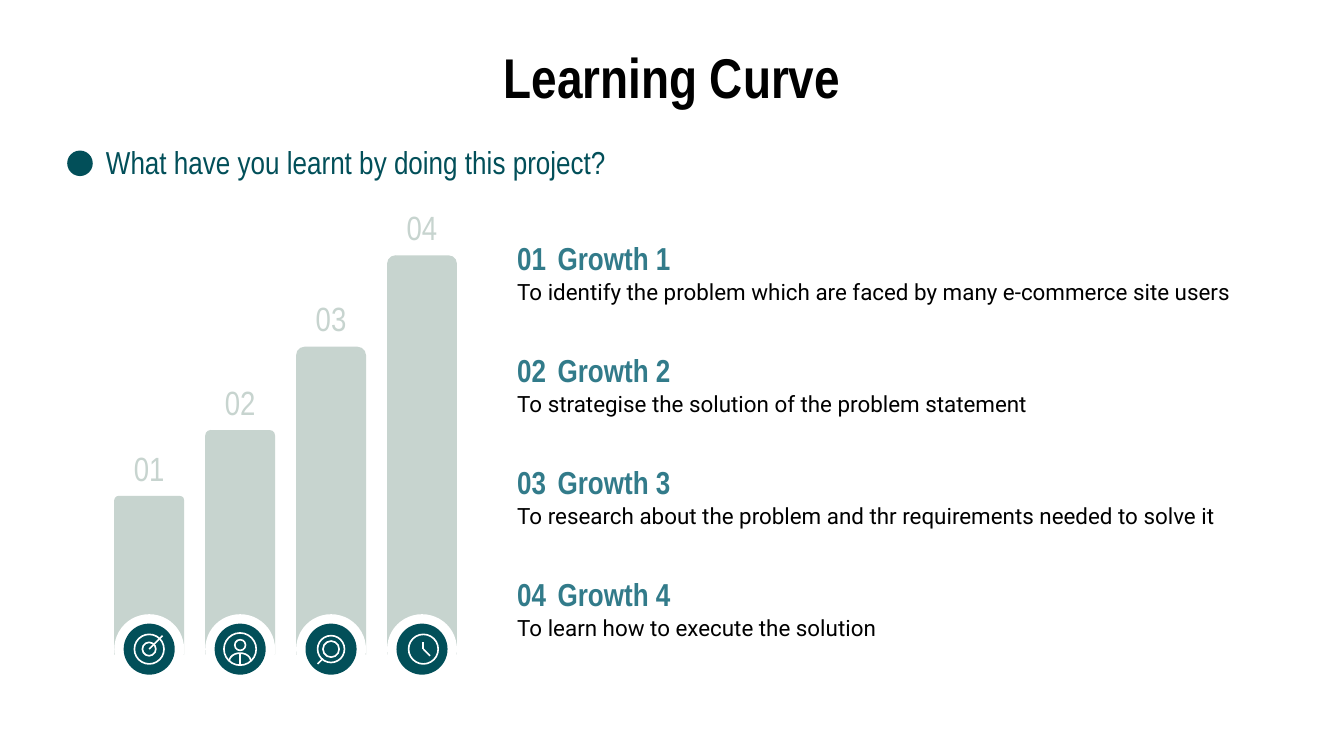
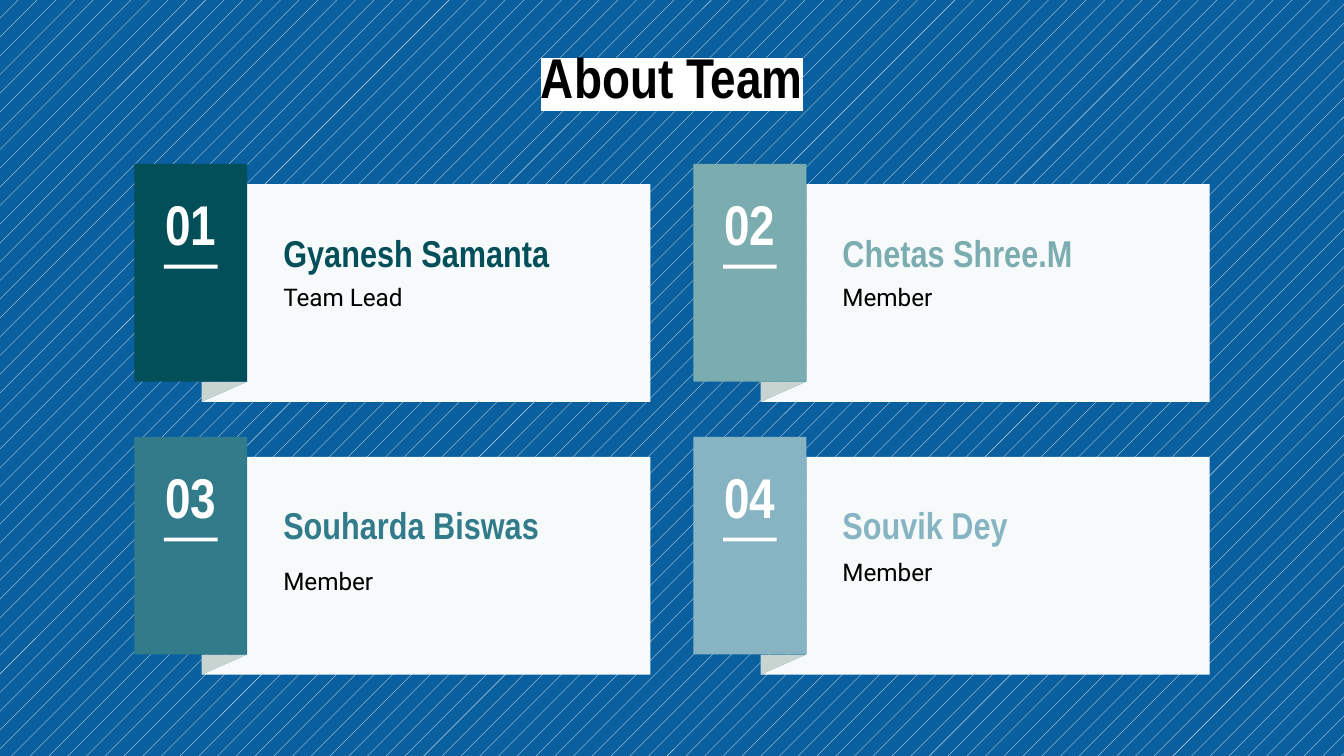
"""Build a learning curve slide and a team slide."""
from math import cos, pi, sin

from lxml import etree
from pptx import Presentation
from pptx.dml.color import RGBColor
from pptx.enum.dml import MSO_PATTERN
from pptx.enum.shapes import MSO_CONNECTOR, MSO_SHAPE
from pptx.enum.text import MSO_ANCHOR, MSO_AUTO_SIZE, PP_ALIGN
from pptx.oxml.ns import qn
from pptx.util import Inches, Pt

WHITE = RGBColor(0xFF, 0xFF, 0xFF)
BLACK = RGBColor(0x00, 0x00, 0x00)
DEEP_TEAL = RGBColor(0x02, 0x4F, 0x59)
TEAL = RGBColor(0x32, 0x7B, 0x8A)
SAGE = RGBColor(0x7B, 0xAC, 0xB0)
SKY = RGBColor(0x86, 0xB4, 0xC2)
MIST = RGBColor(0xC7, 0xD4, 0xCF)
PAPER = RGBColor(0xF7, 0xFA, 0xFB)
BLUE = RGBColor(0x0A, 0x5F, 0x9E)

HEAD = "Arial Narrow"
BODY = "Roboto"
ICON_LINE = Pt(0.88)

TITLE = {"name": HEAD, "size": Pt(30), "bold": True}
QUESTION = {"name": HEAD, "size": Pt(17), "bold": False}
BAR_NUMBER = {"name": HEAD, "size": Pt(18), "bold": False}
GROWTH = {"name": HEAD, "size": Pt(17), "bold": True}
DETAIL = {"name": BODY, "size": Pt(12), "bold": False}
MEMBER_NAME = {"name": HEAD, "size": Pt(20), "bold": True}
ROLE = {"name": BODY, "size": Pt(13), "bold": False}


def paint(shape, color=None):
    shape.shadow.inherit = False
    if color is None:
        shape.fill.background()
        shape.line.color.rgb = WHITE
        shape.line.width = ICON_LINE
    else:
        shape.fill.solid()
        shape.fill.fore_color.rgb = color
        shape.line.fill.background()


def write(shape, text, style, color, align=PP_ALIGN.LEFT):
    frame = shape.text_frame
    settings = {"word_wrap": True, "auto_size": MSO_AUTO_SIZE.NONE,
                "vertical_anchor": MSO_ANCHOR.TOP}
    for side in ("left", "right", "top", "bottom"):
        settings[f"margin_{side}"] = Inches(0.1)
    for name, value in settings.items():
        setattr(frame, name, value)
    paragraph = frame.paragraphs[0]
    paragraph.alignment = align
    run = paragraph.add_run()
    run.text = text
    for name, value in style.items():
        setattr(run.font, name, value)
    run.font.color.rgb = color
    return run


presentation = Presentation()
presentation.slide_width = Inches(10)
presentation.slide_height = Inches(10) * 9 // 16

slides = []
for title in ("Learning Curve", "About Team"):
    slide = presentation.slides.add_slide(presentation.slide_layouts[5])
    heading = slide.shapes.title
    heading.left, heading.top = Inches(2.53), Inches(0.22)
    heading.width, heading.height = Inches(4.94), Inches(0.68)
    run = write(heading, title, TITLE, BLACK, PP_ALIGN.CENTER)
    highlight = etree.Element(qn("a:highlight"))
    etree.SubElement(highlight, qn("a:srgbClr"), val=str(WHITE))
    run.font._element.find(qn("a:latin")).addprevious(highlight)
    slides.append(slide)
curve_slide, team_slide = slides

curve_slide.background.fill.solid()
curve_slide.background.fill.fore_color.rgb = WHITE
shapes = curve_slide.shapes

bullet = shapes.add_shape(MSO_SHAPE.OVAL, Inches(0.5), Inches(1.12), Inches(0.19), Inches(0.19))
paint(bullet, DEEP_TEAL)
question = shapes.add_textbox(Inches(0.69), Inches(0.96), Inches(6.54), Inches(0.46))
write(question, "What have you learnt by doing this project?", QUESTION, DEEP_TEAL)

BAR_WIDTH, BAR_BOTTOM, ICON_Y = 0.52, 4.87, 4.83
BAR_LEFT, BAR_PITCH = 0.85, 2.03 / 3
bars = [
    (3.69, 0.06, [(0, 0, 0.11), (0, 0, 0.05)], [(0, 0, 0.1, -0.1)]),
    (3.2, 0.08, [(0, -0.03, 0.04), (0, 0, 0.12)], [(0, 0.12, 0, 0.03)]),
    (2.58, 0.12, [(0, 0, 0.1), (0, 0, 0.06)], [(-0.1, 0.11, -0.06, 0.07)]),
    (1.9, 0.12, [(0.01, 0, 0.11)], [(0.01, 0, 0.06, 0.05), (0.01, -0.05, 0.01, 0)]),
]
for index, (top, rounding, rings, strokes) in enumerate(bars):
    left = BAR_LEFT + BAR_PITCH * index
    center = left + BAR_WIDTH / 2
    bar = shapes.add_shape(MSO_SHAPE.ROUND_2_SAME_RECTANGLE, Inches(left), Inches(top),
                           Inches(BAR_WIDTH), Inches(BAR_BOTTOM - top))
    bar.adjustments[0] = rounding
    paint(bar, MIST)
    number = shapes.add_textbox(Inches(left), Inches(top - 0.46), Inches(BAR_WIDTH), Inches(0.38))
    write(number, f"{index + 1:02}", BAR_NUMBER, MIST, PP_ALIGN.CENTER)

    discs = [(0, 0, 0.26, WHITE), (0, 0, 0.19, DEEP_TEAL)]
    for dx, dy, radius, color in discs + [(*ring, None) for ring in rings]:
        disc = shapes.add_shape(MSO_SHAPE.OVAL, Inches(center + dx - radius),
                                Inches(ICON_Y + dy - radius),
                                Inches(2 * radius), Inches(2 * radius))
        paint(disc, color)
    for x1, y1, x2, y2 in strokes:
        stroke = shapes.add_connector(MSO_CONNECTOR.STRAIGHT, Inches(center + x1),
                                      Inches(ICON_Y + y1), Inches(center + x2),
                                      Inches(ICON_Y + y2))
        stroke.line.color.rgb = WHITE
        stroke.line.width = ICON_LINE
        etree.SubElement(stroke._element.spPr, qn("a:effectLst"))

person_x = BAR_LEFT + BAR_PITCH + BAR_WIDTH / 2
shoulders = [(Inches(person_x - 0.08 * cos(pi * step / 12)),
              Inches(ICON_Y + 0.09 - 0.06 * sin(pi * step / 12))) for step in range(13)]
builder = shapes.build_freeform(*shoulders[0])
builder.add_line_segments(shoulders[1:], close=False)
paint(builder.convert_to_shape())

lessons = [
    "To identify the problem which are faced by many e-commerce site users",
    "To strategise the solution of the problem statement",
    "To research about the problem and thr requirements needed to solve it",
    "To learn how to execute the solution",
]
for index, lesson in enumerate(lessons):
    top = 1.68 + 2.5 / 3 * index
    group = shapes.add_group_shape().shapes
    for left, offset, width, height, text, style, color in (
        (3.75, 0, 0.44, 0.46, f"{index + 1:02}", GROWTH, TEAL),
        (3.75, 0.29, 5.72, 0.5, lesson, DETAIL, BLACK),
        (4.05, 0, 2.19, 0.46, f"Growth {index + 1}", GROWTH, TEAL),
    ):
        box = group.add_textbox(Inches(left), Inches(top + offset), Inches(width), Inches(height))
        write(box, text, style, color)

background = team_slide.background.fill
background.patterned()
background.pattern = MSO_PATTERN.PERCENT_5
background.fore_color.rgb = WHITE
background.back_color.rgb = BLUE

members = [
    ("Gyanesh Samanta", "Team Lead", DEEP_TEAL, 0.78),
    ("Chetas Shree.M", "Member", SAGE, 0.78),
    ("Souharda Biswas", "Member", TEAL, 0.86),
    ("Souvik Dey", "Member", SKY, 0.8),
]
CARD = [(0.84, 0.15), (0.84, 1.62), (0.5, 1.77), (3.84, 1.77), (3.84, 0.15)]
FOLD = [(0.5, 1.62), (0.5, 1.77), (0.84, 1.62)]
for index, (name, role, color, role_top) in enumerate(members):
    row, column = divmod(index, 2)
    left, top = 1 + 4.16 * column, 1.22 + 2.03 * row
    group = team_slide.shapes.add_group_shape().shapes
    for outline, fill in ((CARD, PAPER), (FOLD, MIST)):
        points = [(Inches(left + x), Inches(top + y)) for x, y in outline]
        builder = group.build_freeform(*points[0])
        builder.add_line_segments(points[1:], close=True)
        paint(builder.convert_to_shape(), fill)
    for x, y, width, height, fill in ((0, 0, 0.84, 1.62, color), (0.22, 0.75, 0.4, 0.03, WHITE)):
        block = group.add_shape(MSO_SHAPE.RECTANGLE, Inches(left + x), Inches(top + y),
                                Inches(width), Inches(height))
        paint(block, fill)
    for x, y, width, height, text, style, ink, align in (
        (0, 0.09, 0.84, 0.83, f"{index + 1:02}", TITLE, WHITE, PP_ALIGN.CENTER),
        (1.01, 0.39, 2.65, 0.46, name, MEMBER_NAME, color, PP_ALIGN.LEFT),
        (1.01, role_top, 2.65, 0.64, role, ROLE, BLACK, PP_ALIGN.LEFT),
    ):
        box = group.add_textbox(Inches(left + x), Inches(top + y), Inches(width), Inches(height))
        write(box, text, style, ink, align)

presentation.save("out.pptx")
